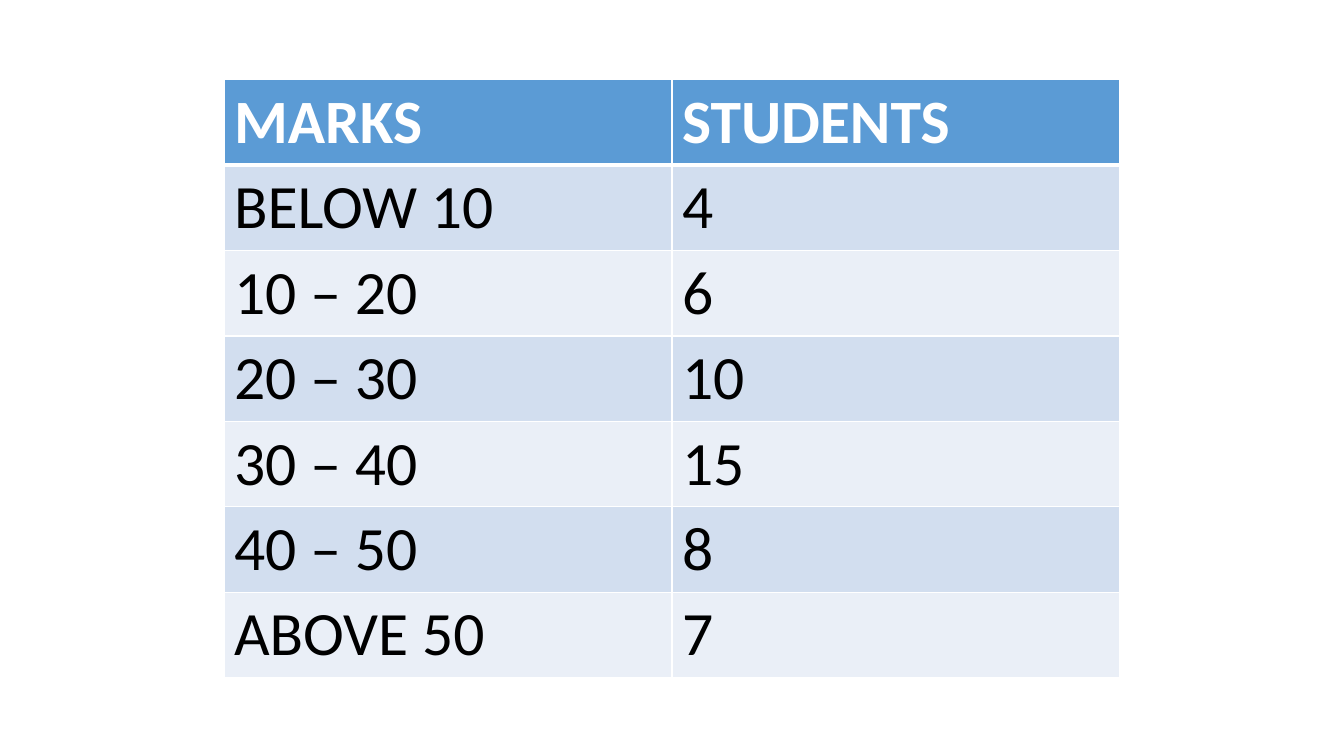
from lxml.etree import SubElement
from pptx import Presentation
from pptx.dml.color import RGBColor
from pptx.oxml.ns import qn
from pptx.util import Pt

COLORS = {
    "header": "5B9BD5",
    "odd_band": "D2DEEF",
    "even_band": "EAEFF7",
    "border": "FFFFFF",
    "header_text": "FFFFFF",
    "body_text": "000000",
}
ROWS = [
    ("MARKS", "STUDENTS"),
    ("BELOW 10", "4"),
    ("10 – 20", "6"),
    ("20 – 30", "10"),
    ("30 – 40", "15"),
    ("40 – 50", "8"),
    ("ABOVE 50", "7"),
]
COLUMN_WIDTH = 320
ROW_HEIGHT = 60


def add_borders(cell, widths):
    """Draw solid cell borders; call before the fill, which must follow them in the XML."""
    properties = cell._tc.get_or_add_tcPr()
    for side, width in widths.items():
        line = SubElement(properties, qn(f"a:{side}"), w=str(Pt(width)))
        solid_fill = SubElement(line, qn("a:solidFill"))
        SubElement(solid_fill, qn("a:srgbClr"), val=COLORS["border"])


presentation = Presentation()
presentation.slide_width = Pt(960)
presentation.slide_height = Pt(540)
slide = presentation.slides.add_slide(presentation.slide_layouts[6])

column_count = len(ROWS[0])
marks_table = slide.shapes.add_table(
    len(ROWS), column_count, Pt(160), Pt(57),
    Pt(COLUMN_WIDTH * column_count), Pt(ROW_HEIGHT * len(ROWS)),
).table

for row_index, values in enumerate(ROWS):
    is_header = row_index == 0
    if is_header:
        fill_name = "header"
    else:
        fill_name = "odd_band" if row_index % 2 else "even_band"
    text_color = COLORS["header_text" if is_header else "body_text"]
    border_widths = {
        "lnL": 1,
        "lnR": 1,
        "lnT": 3 if row_index == 1 else 1,
        "lnB": 3 if is_header else 1,
    }
    font_format = {"name": "Calibri", "size": Pt(44), "bold": is_header}

    for column_index, value in enumerate(values):
        cell = marks_table.cell(row_index, column_index)
        add_borders(cell, border_widths)
        cell.fill.solid()
        cell.fill.fore_color.rgb = RGBColor.from_string(COLORS[fill_name])
        cell.text = value
        font = cell.text_frame.paragraphs[0].runs[0].font
        for attribute, setting in font_format.items():
            setattr(font, attribute, setting)
        font.color.rgb = RGBColor.from_string(text_color)

presentation.save("out.pptx")
